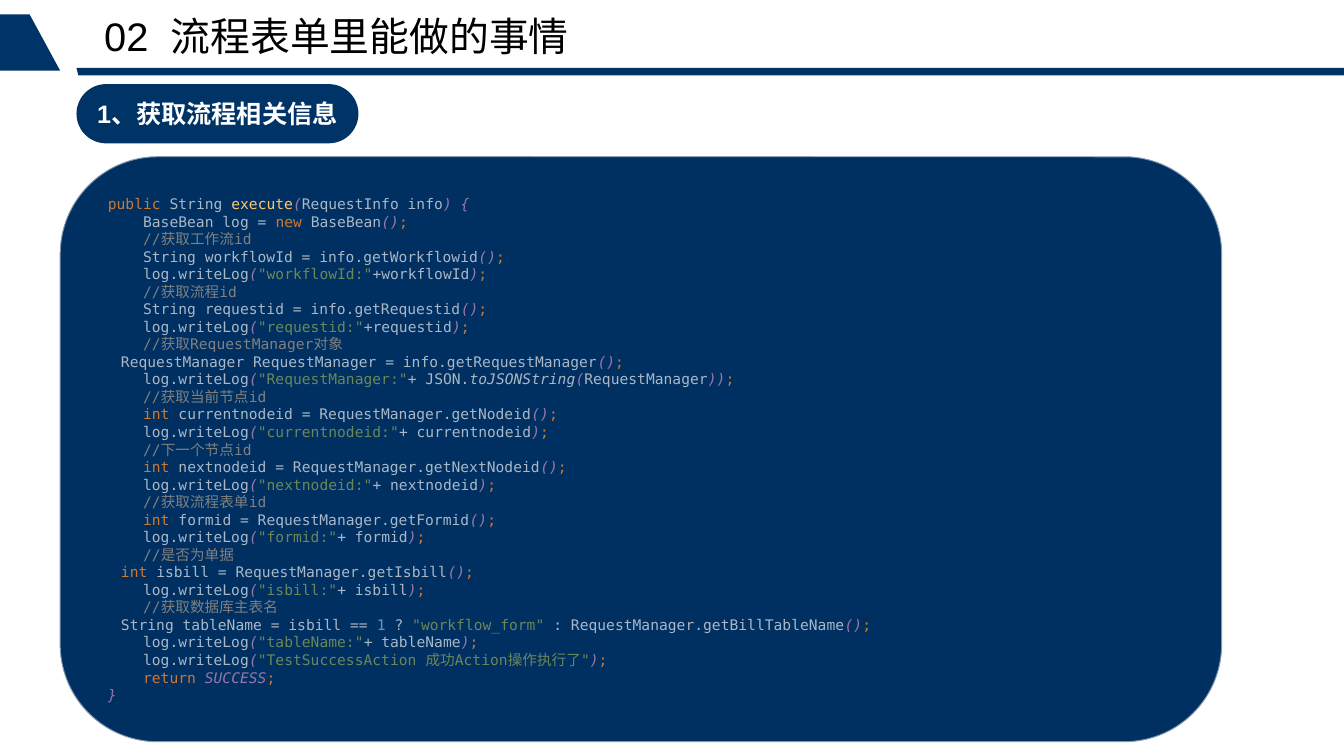
from dataclasses import dataclass
from itertools import groupby

from lxml import etree
from pptx import Presentation
from pptx.dml.color import RGBColor
from pptx.enum.shapes import MSO_SHAPE
from pptx.enum.text import MSO_ANCHOR, MSO_AUTO_SIZE, PP_ALIGN
from pptx.oxml.ns import qn
from pptx.util import Inches, Pt

ROUNDED = MSO_SHAPE.ROUNDED_RECTANGLE
MIDDLE, TOP = MSO_ANCHOR.MIDDLE, MSO_ANCHOR.TOP
CENTER, LEFT = PP_ALIGN.CENTER, PP_ALIGN.LEFT
NO_FIT = MSO_AUTO_SIZE.NONE
TITLE_ONLY = 5


@dataclass(frozen=True)
class Theme:
    """Colours, fonts and type sizes of the slide."""
    navy: str = "003366"
    panel: str = "003061"
    panel_line: str = "8497B0"
    title: str = "000000"
    heading: str = "FFFFFF"
    keyword: str = "CC7832"
    plain: str = "A9B7C6"
    static: str = "A9B7C6"
    method: str = "FFC66D"
    bracket: str = "9876AA"
    string: str = "6A8759"
    number: str = "6897BB"
    note: str = "808080"
    sans: str = "Arial"
    mono: str = "DejaVu Sans Mono"
    chinese: str = "Noto Sans CJK SC"
    title_size: float = 30
    heading_size: float = 19
    code_size: float = 11
    code_leading: float = 13.2
    italics: tuple = ("bracket", "static")


THEME = Theme()
INDENT = "    "


def note(text):
    """Return the tokens of a comment line."""
    return [("note", "//" + text)]


def fetch(target, getter, keyword="", source="info"):
    """Return the tokens of a line that stores a getter's value."""
    return [("keyword", keyword), ("plain", f"{target} = {source}.{getter}"),
            ("bracket", "()"), ("keyword", ";")]


def log(label, *values):
    """Return the tokens of a line that writes to the log."""
    return [("plain", "log.writeLog"), ("bracket", "("), ("string", f'"{label}"'),
            *values, ("bracket", ")"), ("keyword", ";")]


def log_value(name, gap=" "):
    """Return the tokens of a line that logs a named variable."""
    return log(f"{name}:", ("plain", f"+{gap}{name}"))


def manager_value(comment, name, getter):
    """Return the three lines that fetch and log an integer of the manager."""
    return [note(comment), fetch(name, getter, "int ", "RequestManager"), log_value(name)]


SIGNATURE = [("keyword", "public "), ("plain", "String "), ("method", "execute"),
             ("bracket", "("), ("plain", "RequestInfo info"), ("bracket", ") {")]
BODY = [
    [("plain", "BaseBean log = "), ("keyword", "new "), ("plain", "BaseBean"),
     ("bracket", "()"), ("keyword", ";")],
    note("获取工作流id"),
    fetch("String workflowId", "getWorkflowid"),
    log_value("workflowId", ""),
    note("获取流程id"),
    fetch("String requestid", "getRequestid"),
    log_value("requestid", ""),
    note("获取RequestManager对象"),
    fetch("RequestManager RequestManager", "getRequestManager"),
    log("RequestManager:", ("plain", "+ JSON."), ("static", "toJSONString"),
        ("bracket", "("), ("plain", "RequestManager"), ("bracket", ")")),
    *manager_value("获取当前节点id", "currentnodeid", "getNodeid"),
    *manager_value("下一个节点id", "nextnodeid", "getNextNodeid"),
    *manager_value("获取流程表单id", "formid", "getFormid"),
    *manager_value("是否为单据", "isbill", "getIsbill"),
    note("获取数据库主表名"),
    [("plain", "String tableName = isbill == "), ("number", "1 "), ("plain", "? "),
     ("string", '"workflow_form" '), ("plain", ": RequestManager.getBillTableName"),
     ("bracket", "()"), ("keyword", ";")],
    log_value("tableName"),
    log("TestSuccessAction 成功Action操作执行了"),
    [("keyword", "return "), ("bracket", "SUCCESS"), ("keyword", ";")],
]
CLOSING = [("bracket", "}")]


def is_chinese(char):
    """Tell whether a character needs the Chinese font."""
    return ord(char) > 0x2E80


def style_run(span, font, size, color, bold=False, italic=False):
    """Set the Latin and East Asian fonts, size, colour and style of a run."""
    span.font.name = font
    span.font.size = Pt(size)
    span.font.bold = bold
    span.font.italic = italic
    span.font.color.rgb = RGBColor.from_string(color)
    east_asian = etree.Element(qn("a:ea"), typeface=THEME.chinese)
    span.font._element.find(qn("a:latin")).addnext(east_asian)


def fill_shape(shape, color, line=None):
    """Give a shape a flat fill and an optional thin outline."""
    shape.shadow.inherit = False
    shape.fill.solid()
    shape.fill.fore_color.rgb = RGBColor.from_string(color)
    if line:
        shape.line.color.rgb = RGBColor.from_string(line)
        shape.line.width = Pt(0.75)
    else:
        shape.line.fill.background()


def add_outline(page, points):
    """Draw a closed navy polygon through points in inches."""
    start, *others = [(Inches(x), Inches(y)) for x, y in points]
    builder = page.shapes.build_freeform(*start, scale=1.0)
    builder.add_line_segments(others, close=True)
    fill_shape(builder.convert_to_shape(), THEME.navy)


def set_title(page, text):
    """Place and format the title placeholder."""
    box = page.shapes.title
    box.left, box.top, box.width, box.height = map(Inches, (1.09, 0.12, 8.57, 0.5))
    frame = box.text_frame
    frame.text = text
    frame.auto_size = NO_FIT
    frame.vertical_anchor = TOP
    frame.margin_left = frame.margin_right = frame.margin_top = frame.margin_bottom = 0
    para = frame.paragraphs[0]
    para.alignment = LEFT
    style_run(para.runs[0], THEME.sans, THEME.title_size, THEME.title)


def add_heading(page, text):
    """Add the pill with the section heading."""
    pill = page.shapes.add_shape(ROUNDED, Inches(0.8), Inches(0.88), Inches(2.95), Inches(0.62))
    pill.adjustments[0] = 0.5
    fill_shape(pill, THEME.navy)
    pill.text_frame.text = text
    pill.text_frame.vertical_anchor = MIDDLE
    para = pill.text_frame.paragraphs[0]
    para.alignment = CENTER
    style_run(para.runs[0], THEME.sans, THEME.heading_size, THEME.heading, bold=True)


def add_code_run(para, text, kind, font):
    """Add one run of code, coloured by its kind."""
    span = para.add_run()
    span.text = text
    style_run(span, font, THEME.code_size, getattr(THEME, kind), italic=kind in THEME.italics)


def add_code_panel(page):
    """Add the rounded panel with the highlighted code."""
    panel = page.shapes.add_shape(ROUNDED, Inches(0.63), Inches(1.64), Inches(12.15), Inches(6.12))
    fill_shape(panel, THEME.panel, THEME.panel_line)
    frame = panel.text_frame
    frame.vertical_anchor = MIDDLE
    frame.margin_left = frame.margin_right = Inches(0.2)
    frame.margin_top = frame.margin_bottom = Inches(0.08)
    font = THEME.mono
    for number, tokens in enumerate([SIGNATURE, *BODY, CLOSING]):
        para = frame.add_paragraph() if number else frame.paragraphs[0]
        para.alignment = LEFT
        para.line_spacing = Pt(THEME.code_leading)
        if tokens in BODY:
            add_code_run(para, INDENT, "plain", font)
        for kind, text in tokens:
            for chinese, chars in groupby(text, is_chinese):
                font = THEME.chinese if chinese else THEME.mono
                add_code_run(para, "".join(chars), kind, font)


def main():
    """Build the slide and save the deck."""
    deck = Presentation()
    deck.slide_width, deck.slide_height = Inches(14.06), Inches(7.91)
    page = deck.slides.add_slide(deck.slide_layouts[TITLE_ONLY])
    add_outline(page, [(0.31, 0.15), (0.63, 0.74), (0, 0.74), (0, 0.15)])
    add_outline(page, [(0.8, 0.71), (14.06, 0.71), (14.06, 0.79), (0.82, 0.79)])
    set_title(page, "02  流程表单里能做的事情")
    add_heading(page, "1、获取流程相关信息")
    add_code_panel(page)
    deck.save("out.pptx")


if __name__ == "__main__":
    main()
